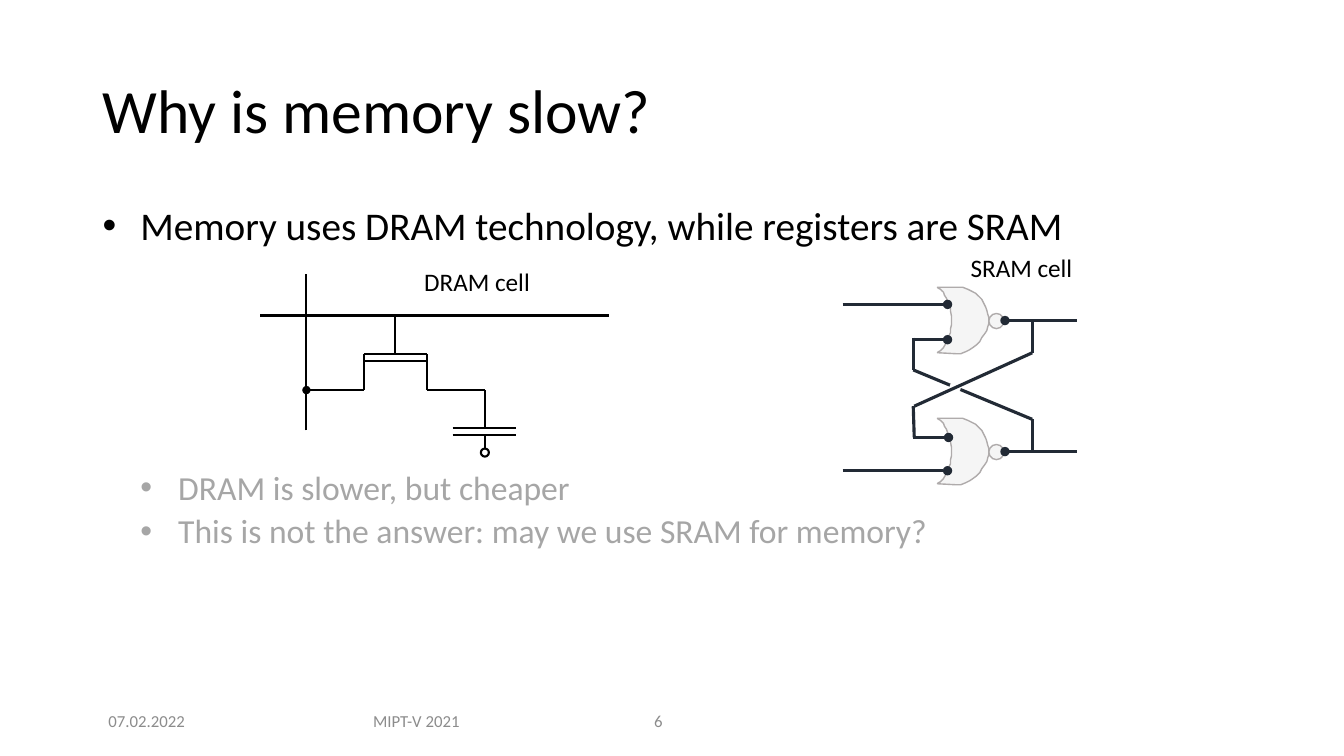
from lxml.etree import SubElement
from pptx import Presentation
from pptx.dml.color import RGBColor
from pptx.enum.shapes import MSO_CONNECTOR as Connector, MSO_SHAPE as Shape
from pptx.enum.text import MSO_ANCHOR as Anchor, PP_ALIGN as Align
from pptx.oxml.ns import qn
from pptx.util import Inches, Pt

BLACK = RGBColor(0x00, 0x00, 0x00)
WHITE = RGBColor(0xFF, 0xFF, 0xFF)
FOOTER_GRAY = RGBColor(0x8C, 0x8C, 0x8C)
ANSWER_GRAY = RGBColor(0xA6, 0xA6, 0xA6)
GATE_FILL = RGBColor(0xF5, 0xF5, 0xF5)
GATE_LINE = RGBColor(0xAF, 0xAB, 0xAB)
WIRE_NAVY = RGBColor(0x22, 0x2A, 0x35)

presentation = Presentation()
presentation.slide_width = Inches(13.333)
presentation.slide_height = Inches(7.5)
CELL = presentation.slide_height // 750
slide = presentation.slides.add_slide(presentation.slide_layouts[6])
shapes = slide.shapes


def add_text(box, lines, size, color=BLACK, anchor=Anchor.TOP, align=Align.LEFT):
    frame = shapes.add_textbox(*(value * CELL for value in box)).text_frame
    frame.word_wrap = True
    frame.vertical_anchor = anchor
    for index, line in enumerate(lines):
        paragraph = frame.paragraphs[0] if index == 0 else frame.add_paragraph()
        paragraph.alignment = align
        run = paragraph.add_run()
        run.text = line
        font_format = {"name": "Calibri", "size": Pt(size)}
        for name, value in font_format.items():
            setattr(run.font, name, value)
        run.font.color.rgb = color
    return frame.paragraphs


def add_wire(ends, color, width, dot=False):
    wire = shapes.add_connector(Connector.STRAIGHT, *(value * CELL for value in ends))
    wire.line.color.rgb = color
    wire.line.width = Pt(width)
    if dot:
        SubElement(wire.line._get_or_add_ln(), qn("a:tailEnd"), type="oval")
    SubElement(wire._element.spPr, qn("a:effectLst"))


title = add_text((92, 40, 1150, 145), ["Why is memory slow?"], 44, anchor=Anchor.MIDDLE)
title[0].line_spacing = 0.9

body = add_text((92, 200, 1150, 452), [
    "Memory uses DRAM technology, while registers are SRAM",
    "DRAM is slower, but cheaper",
    "This is not the answer: may we use SRAM for memory?",
], 28)
for paragraph, level, space in zip(body, (0, 1, 1), (0, 158.7, 5)):
    properties = paragraph._p.get_or_add_pPr()
    properties.set("marL", str(Inches(0.375) * (level + 1)))
    properties.set("indent", str(-Inches(0.375)))
    SubElement(properties, qn("a:buFont"), typeface="Arial")
    SubElement(properties, qn("a:buChar"), char="•")
    paragraph_format = {"level": level, "line_spacing": 0.9, "space_before": Pt(space)}
    for name, value in paragraph_format.items():
        setattr(paragraph, name, value)
    if level:
        paragraph.runs[0].font.size = Pt(24)
        paragraph.runs[0].font.color.rgb = ANSWER_GRAY

for left, width, label, align in (
    (92, 107, "07.02.2022", Align.CENTER),
    (334, 158, "MIPT-V 2021", Align.CENTER),
    (639, 79, "6", Align.LEFT),
):
    add_text((left, 695, width, 40), [label], 12, FOOTER_GRAY, Anchor.MIDDLE, align)

add_text((411, 259, 194, 40), ["DRAM cell"], 18)
add_text((953, 245, 151, 40), ["SRAM cell"], 18)

word_line, bit_line = (258, 313, 604, 313), (304, 427, 304, 272)
gate_lead, capacitor_lead = (392, 350, 392, 313), (481, 424, 481, 387)
drain_lead, ground_lead = (481, 387, 424, 387), (481, 452, 481, 432)
for ends in (word_line, bit_line, gate_lead, capacitor_lead, drain_lead, ground_lead):
    add_wire(ends, BLACK, 1.5)
for left, top in ((361, 351), (449, 425)):
    for plate in (top, top + 7):
        add_wire((left, plate, left + 63, plate), BLACK, 1.5)
for side in (361, 424):
    add_wire((side, 387, side, 351), BLACK, 1.5)
add_wire((361, 387, 304, 387), BLACK, 1.5, dot=True)

GATE_CURVES = (
    ((930, 0), (935, 2), (944, 15), (944, 33)),
    ((944, 33), (944, 51), (935, 63), (930, 65)),
    ((949, 66), (967, 66), (981, 44), (981, 33)),
    ((981, 33), (981, 22), (972, 0), (950, 0)),
)
STEPS = 12
outline = []
for start, pull, push, end in GATE_CURVES:
    for step in range(STEPS + 1):
        t = step / STEPS
        weights = ((1 - t) ** 3, 3 * t * (1 - t) ** 2, 3 * t * t * (1 - t), t ** 3)
        controls = (start, pull, push, end)
        outline.append(tuple(
            sum(weight * point[axis] for weight, point in zip(weights, controls))
            for axis in (0, 1)
        ))

circles = [(477, 445, 8, WHITE, BLACK, 1.5)]
for top in (285, 415):
    circles.append((981, top + 26, 15, GATE_FILL, GATE_LINE, 1))
    points = [(x, top + y) for x, y in outline]
    builder = shapes.build_freeform(*points[0], scale=CELL)
    builder.add_line_segments(points[1:], close=True)
    gate = builder.convert_to_shape()
    gate.shadow.inherit = False
    gate.fill.solid()
    gate.fill.fore_color.rgb = GATE_FILL
    gate.line.color.rgb = GATE_LINE
    gate.line.width = Pt(1)

add_wire((906, 367, 1024, 416), WIRE_NAVY, 2.25)
circles.append((942, 379, 11, WHITE, WHITE, 0.25))
for left, top, size, fill, line, width in circles:
    circle = shapes.add_shape(Shape.OVAL, *(value * CELL for value in (left, top, size, size)))
    circle.shadow.inherit = False
    circle.fill.solid()
    circle.fill.fore_color.rgb = fill
    circle.line.color.rgb = line
    circle.line.width = Pt(width)

for ends in (
    (1024, 350, 907, 403),
    (906, 335, 906, 367),
    (906, 403, 907, 434),
    (1024, 318, 1024, 350),
    (1024, 416, 1024, 448),
):
    add_wire(ends, WIRE_NAVY, 2.25)
for start, end, height in (
    (836, 940, 302),
    (906, 940, 337),
    (906, 941, 434),
    (836, 940, 467),
    (1068, 997, 318),
    (1068, 997, 448),
):
    add_wire((start, height, end, height), WIRE_NAVY, 2.25, dot=True)

presentation.save("out.pptx")
